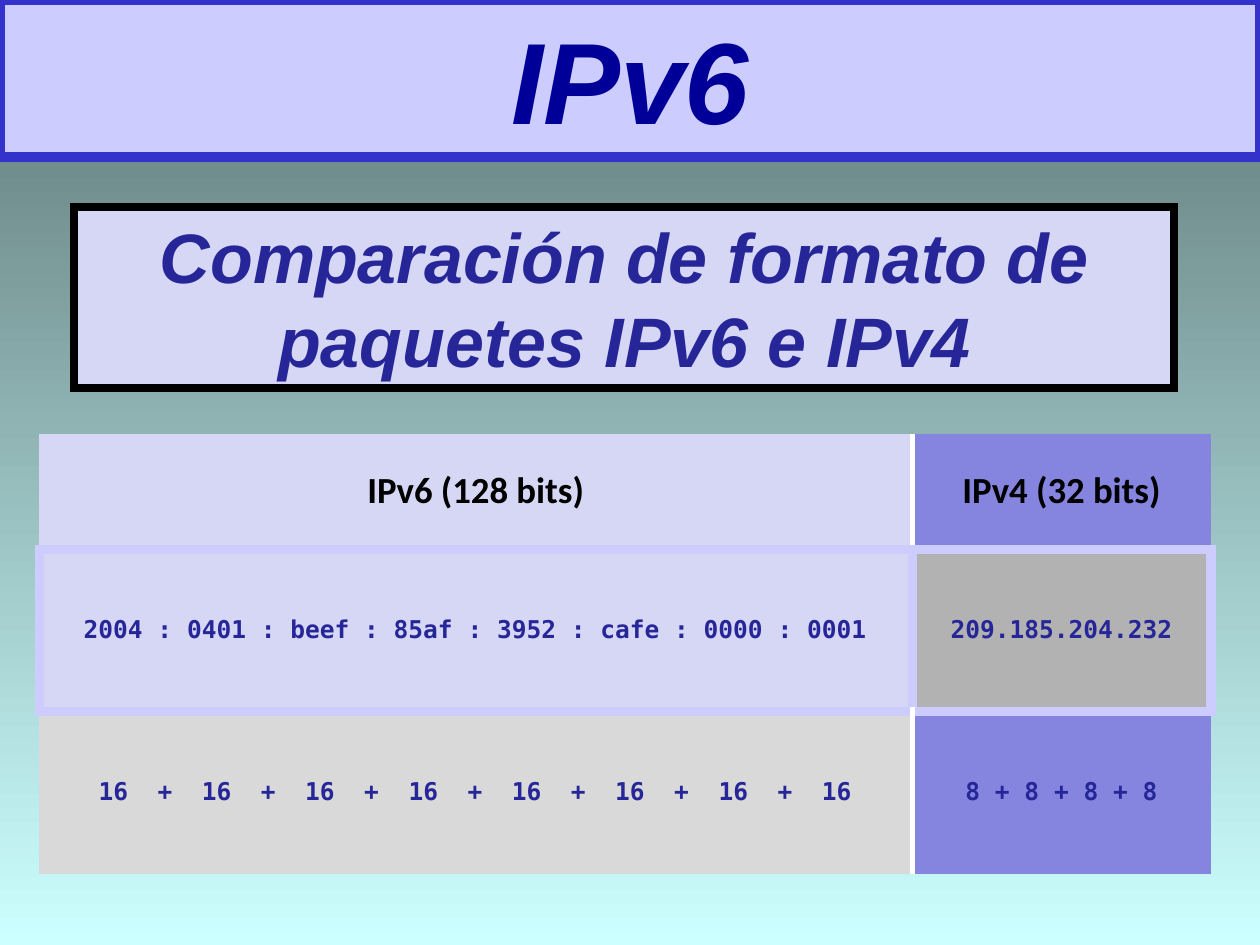
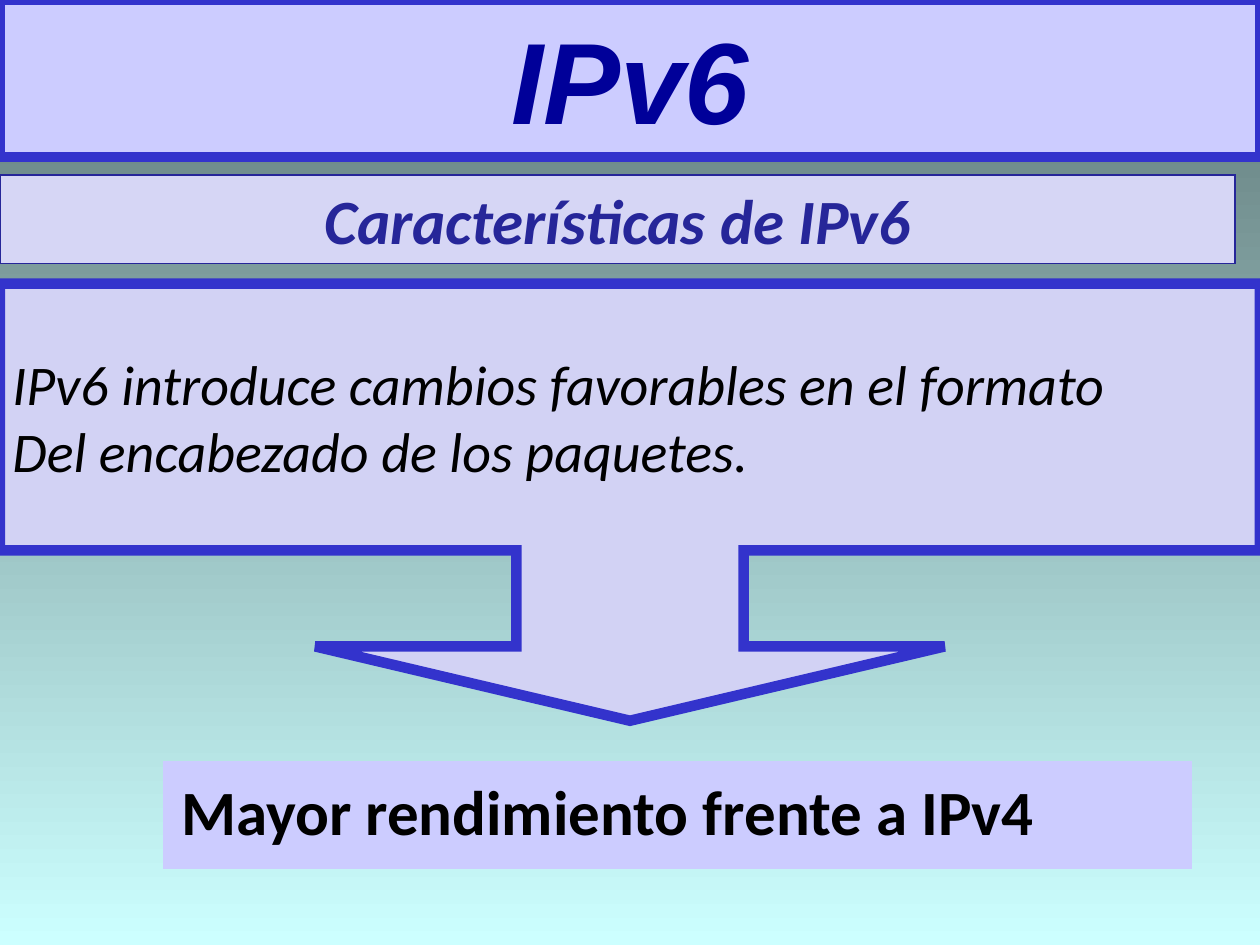
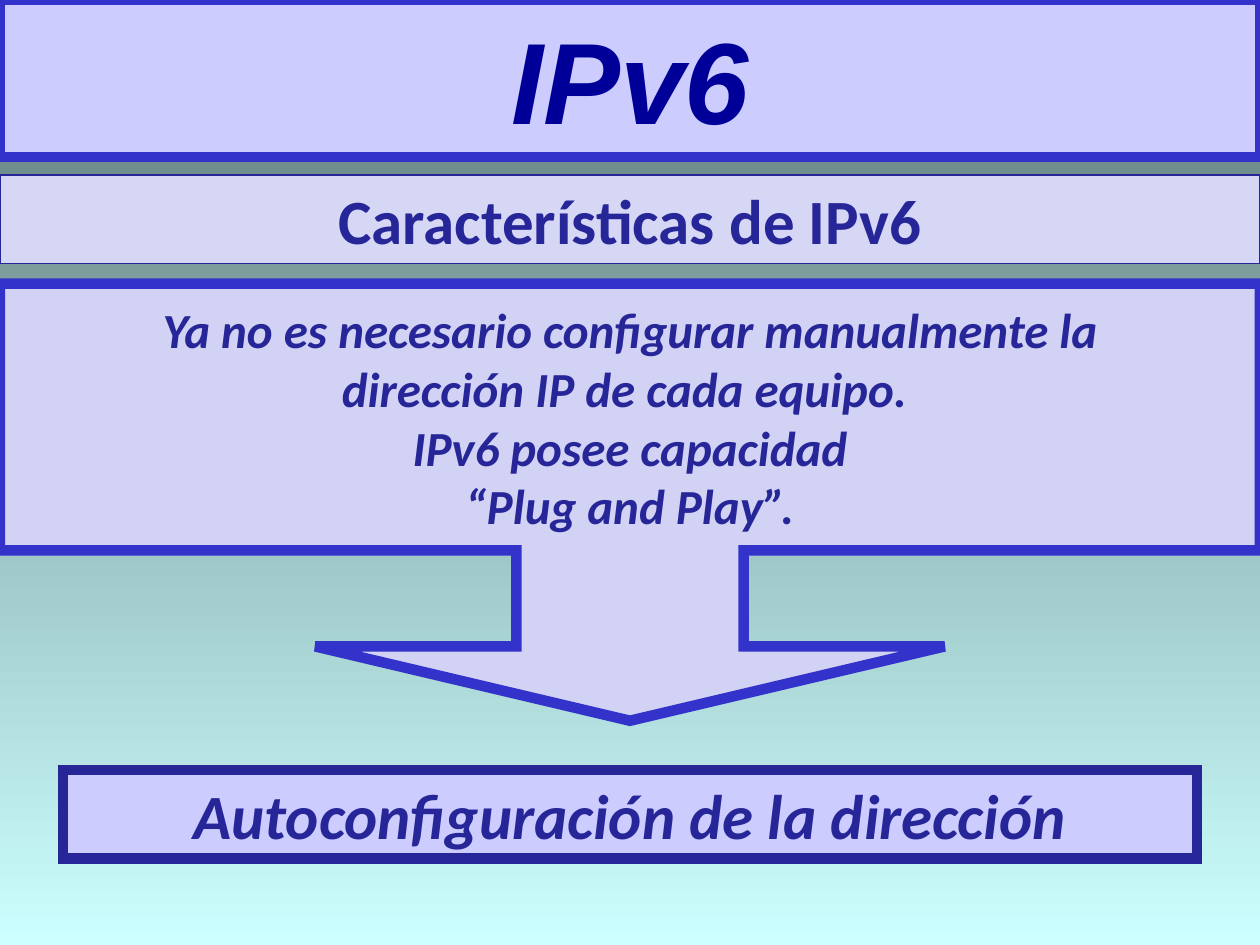
import dataclasses

import pptx
import pptx.dml.color
import pptx.enum.shapes
import pptx.enum.text
import pptx.oxml
import pptx.oxml.ns
import pptx.util

Cm = pptx.util.Cm
Pt = pptx.util.Pt
ALIGN = pptx.enum.text.PP_ALIGN
ANCHOR = pptx.enum.text.MSO_ANCHOR
SHAPE = pptx.enum.shapes.MSO_SHAPE
NO_STYLE = "{2D5ABB26-0587-4C30-8999-92F81FD0307C}"


# Colours, line widths and text formats
@dataclasses.dataclass(frozen=True)
class Theme:
    sky_top: str = "5E7676"
    sky_bottom: str = "CCFFFF"
    lavender: str = "CCCCFF"
    pale: str = "D6D6F5"
    callout: str = "D2D2F4"
    violet: str = "8585E0"
    blue: str = "3333CC"
    navy: str = "262699"
    title_ink: str = "000099"
    black: str = "000000"
    white: str = "FFFFFF"
    grey: str = "B2B2B2"
    light_grey: str = "D9D9D9"
    thick: float = 6
    frame: float = 4.5
    rule: float = 3
    hairline: float = 0.75

    def font(self, size, color, name="Calibri", bold=True, italic=False):
        return dict(size=Pt(size), name=name, bold=bold, italic=italic, color=color)

    @property
    def title(self):
        return self.font(66, self.title_ink, "Arial", italic=True)

    @property
    def topic(self):
        return self.font(40, self.navy, "Arial", italic=True)

    @property
    def heading(self):
        return self.font(36, self.navy)

    @property
    def heading_italic(self):
        return self.font(36, self.navy, italic=True)

    @property
    def conclusion(self):
        return self.font(36, self.black)

    @property
    def statement(self):
        return self.font(32, self.black, bold=False, italic=True)

    @property
    def explanation(self):
        return self.font(28, self.navy, italic=True)

    @property
    def table_head(self):
        return self.font(21, self.black)

    @property
    def table_code(self):
        return self.font(14, self.navy, "DejaVu Sans Mono")


def rgb(value):
    return pptx.dml.color.RGBColor.from_string(value)


class Deck:
    """Holds the theme and the current slide."""

    def __init__(self, theme):
        self.theme = theme
        self.prs = pptx.Presentation()
        self.prs.slide_width, self.prs.slide_height = Cm(25.4), Cm(19.05)
        self.slide = None
        self.background()

    def background(self):
        fill = self.prs.slide_master.background.fill
        fill.gradient()
        fill.gradient_angle = 270
        for stop, color in zip(fill.gradient_stops, (self.theme.sky_top, self.theme.sky_bottom)):
            stop.color.rgb = rgb(color)

    def new_slide(self, title):
        self.slide = self.prs.slides.add_slide(self.prs.slide_layouts[5])
        sp = self.slide.shapes.title
        sp.left, sp.top, sp.width, sp.height = Cm(0), Cm(0), Cm(25.4), Cm(3.17)
        self.paint(sp, self.theme.lavender, self.theme.blue, self.theme.thick)
        sp.text_frame.auto_size = pptx.enum.text.MSO_AUTO_SIZE.NONE
        self.put_text(sp.text_frame, [title], self.theme.title)

    def paint(self, sp, fill, line, width):
        sp.shadow.inherit = False
        sp.fill.solid()
        sp.fill.fore_color.rgb = rgb(fill)
        sp.line.width = Pt(width)
        sp.line.color.rgb = rgb(line)
        miter = pptx.oxml.parse_xml(
            f'<a:miter {pptx.oxml.ns.nsdecls("a")} lim="800000"/>')
        sp.line._ln.append(miter)

    def put_text(self, tf, lines, font, align=ALIGN.CENTER, anchor=ANCHOR.MIDDLE, wrap=True):
        tf.word_wrap = wrap
        tf.vertical_anchor = anchor
        for i, line in enumerate(lines):
            p = tf.paragraphs[0] if i == 0 else tf.add_paragraph()
            p.alignment = align
            r = p.add_run()
            r.text = line
            for key, value in font.items():
                if key == "color":
                    r.font.color.rgb = rgb(value)
                else:
                    setattr(r.font, key, value)

    def box(self, at, text, font, fill, line, width, align=ALIGN.CENTER):
        sp = self.slide.shapes.add_shape(SHAPE.RECTANGLE, *map(Cm, at))
        self.paint(sp, fill, line, width)
        self.put_text(sp.text_frame, [text], font, align, ANCHOR.TOP)

    def heading(self, width, font):
        self.box((0, 3.53, width, 1.79), "Características de IPv6", font,
                 self.theme.pale, self.theme.navy, self.theme.hairline)

    def arrow_callout(self, lines, font, align):
        sp = self.slide.shapes.add_shape(
            SHAPE.DOWN_ARROW_CALLOUT, Cm(0), Cm(5.72), Cm(25.4), Cm(8.81))
        for i, value in enumerate((0.52, 0.72, 0.17, 0.61)):
            sp.adjustments[i] = value
        self.paint(sp, self.theme.callout, self.theme.blue, self.theme.thick)
        self.put_text(sp.text_frame, lines, font, align, wrap=False)

    def border(self, cell, side, color, width):
        cell._tc.get_or_add_tcPr().append(pptx.oxml.parse_xml(
            f'<a:ln{side} {pptx.oxml.ns.nsdecls("a")} w="{Pt(width)}"><a:solidFill>'
            f'<a:srgbClr val="{color}"/></a:solidFill></a:ln{side}>'))

    def table(self, at, widths, heights, rows, fills, fonts, borders):
        """Each entry of borders maps the sides of one cell to colour and width."""
        frame = self.slide.shapes.add_table(
            len(rows), len(widths), *map(Cm, at), Cm(sum(widths)), Cm(sum(heights)))
        tbl = frame.table
        tbl.first_row = tbl.horz_banding = False
        tbl._tbl.tblPr.find(pptx.oxml.ns.qn("a:tableStyleId")).text = NO_STYLE
        for col, width in zip(tbl.columns, widths):
            col.width = Cm(width)
        for i, (row, height) in enumerate(zip(tbl.rows, heights)):
            row.height = Cm(height)
            for j, cell in enumerate(row.cells):
                for side, style in borders[i][j].items():
                    self.border(cell, side, *style)
                cell.fill.solid()
                cell.fill.fore_color.rgb = rgb(fills[i][j])
                self.put_text(cell.text_frame, [rows[i][j]], fonts[i])
                cell.vertical_anchor = ANCHOR.MIDDLE


def main():
    t = Theme()
    deck = Deck(t)

    # Packet format comparison
    deck.new_slide("IPv6")
    thick, rule = (t.lavender, t.thick), (t.white, t.rule)
    deck.table(
        (0.79, 8.74), (17.6, 6.02), (2.33, 3.27, 3.27),
        rows=[("IPv6 (128 bits)", "IPv4 (32 bits)"),
              ("2004 : 0401 : beef : 85af : 3952 : cafe : 0000 : 0001", "209.185.204.232"),
              ("  +  ".join(["16"] * 8), " + ".join(["8"] * 4))],
        fills=[(t.pale, t.violet), (t.pale, t.grey), (t.light_grey, t.violet)],
        fonts=[t.table_head, t.table_code, t.table_code],
        borders=[(dict(R=rule, B=thick), dict(L=rule, B=thick)),
                 [dict.fromkeys("LRTB", thick)] * 2,
                 (dict(R=rule, T=thick), dict(L=rule, T=thick))])
    deck.box((1.5, 4.18, 22.17, 3.64), "Comparación de formato de paquetes IPv6 e IPv4",
             t.topic, t.pale, t.black, t.frame)

    # Performance
    deck.new_slide("IPv6")
    deck.heading(24.9, t.heading_italic)
    deck.box((3.4, 15.45, 20.52, 1.97), "Mayor rendimiento frente a IPv4",
             t.conclusion, t.lavender, t.lavender, t.thick, ALIGN.LEFT)
    deck.arrow_callout(["IPv6 introduce cambios favorables en el formato",
                        "Del encabezado de los paquetes."], t.statement, ALIGN.JUSTIFY)

    # Address autoconfiguration
    deck.new_slide("IPv6")
    deck.heading(25.4, t.heading)
    deck.box((1.27, 15.52, 22.86, 1.79), "Autoconfiguración de la dirección",
             t.heading_italic, t.lavender, t.navy, t.thick)
    deck.arrow_callout(["Ya no es necesario configurar manualmente la",
                        "dirección IP de cada equipo. ",
                        "IPv6 posee capacidad",
                        "“Plug and Play”."], t.explanation, ALIGN.CENTER)

    deck.prs.save("out.pptx")


if __name__ == "__main__":
    main()
